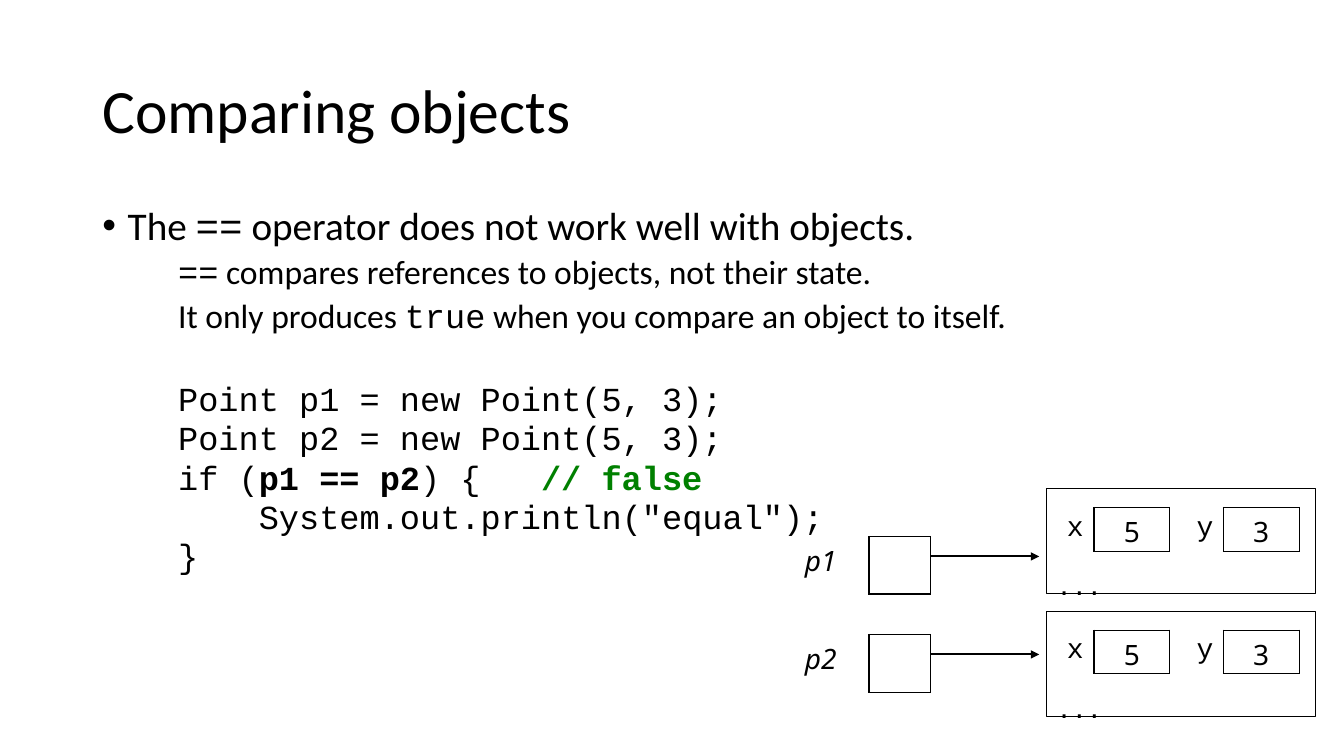
from lxml.etree import SubElement
from pptx import Presentation
from pptx.dml.color import RGBColor
from pptx.enum.shapes import MSO_CONNECTOR as Connector, MSO_SHAPE as Shape
from pptx.enum.text import MSO_ANCHOR as Anchor, PP_ALIGN as Align
from pptx.oxml.ns import qn
from pptx.util import Cm, Pt

SANS, MONO, LABEL = "Calibri", "Courier New", "Noto Sans"
BLACK, GREEN = "000000", "008000"
SIDES = "LRTB"


def color(hex_string):
    return RGBColor.from_string(hex_string)


def add_span(para, text, font, size, shade=BLACK, bold=False, italic=False):
    span = para.add_run()
    span.text = text
    span.font.name, span.font.size = font, Pt(size)
    span.font.bold, span.font.italic = bold, italic
    span.font.color.rgb = color(shade)


def add_text_frame(page, left, top, width, height):
    box = page.shapes.add_textbox(Cm(left), Cm(top), Cm(width), Cm(height))
    box.text_frame.word_wrap = True
    return box.text_frame


def add_title(page, left, top, width, height):
    frame = add_text_frame(page, left, top, width, height)
    frame.vertical_anchor = Anchor.MIDDLE
    para = frame.paragraphs[0]
    para.line_spacing = 0.9
    add_span(para, "Comparing objects", SANS, 44)


def indent(para, margin, first_line=0):
    properties = para._p.get_or_add_pPr()
    properties.set("marL", str(Cm(margin)))
    properties.set("indent", str(Cm(first_line)))
    return properties


def add_body(page, left, top, width, height):
    """Place the bulleted claim, its two remarks and the code sample."""
    frame = add_text_frame(page, left, top, width, height)

    claim = frame.paragraphs[0]
    claim.line_spacing, claim.space_before = 0.9, Pt(10)
    properties = indent(claim, 0.64, -0.64)
    SubElement(properties, qn("a:buFont"), typeface="Arial")
    SubElement(properties, qn("a:buChar"), char="•")
    for text, font in [("The ", SANS), ("==", MONO),
                       (" operator does not work well with objects.", SANS)]:
        add_span(claim, text, font, 28)

    remarks = [
        [("==", MONO), (" compares references to objects, not their state.", SANS)],
        [("It only produces ", SANS), ("true", MONO),
         (" when you compare an object to itself.", SANS)],
    ]
    code = [
        [("Point p1 = new Point(5, 3);", MONO)],
        [("Point p2 = new Point(5, 3);", MONO)],
        [("if (", MONO), ("p1 == p2", MONO, BLACK, True), (") {   ", MONO),
         ("// false", MONO, GREEN, True)],
        [('    System.out.println("equal");', MONO)],
        [("}", MONO)],
    ]
    for lines, spacing, first_gap in [(remarks, 0.9, 5), (code, 0.8, 36)]:
        for number, spans in enumerate(lines):
            para = frame.add_paragraph()
            para.line_spacing = spacing
            para.space_before = Pt(5 if number else first_gap)
            indent(para, 1.91)
            for text, font, *style in spans:
                add_span(para, text, font, 24, *style)


def set_borders(cell, sides):
    """Draw the named sides (L, R, T, B) in black and hide the others."""
    properties = cell._tc.get_or_add_tcPr()
    for side in SIDES:
        line = SubElement(properties, qn(f"a:ln{side}"), w=str(Pt(1)))
        if side in sides:
            fill = SubElement(line, qn("a:solidFill"))
            SubElement(fill, qn("a:srgbClr"), val=BLACK)
        else:
            SubElement(line, qn("a:noFill"))


def add_cell_row(page, left, top, height, widths, cells):
    """Add a one-row table; each cell is (text, font, italic, border sides)."""
    table = page.shapes.add_table(1, len(cells), Cm(left), Cm(top),
                                  Cm(sum(widths)), Cm(height)).table
    table.first_row = table.horz_banding = False
    for column, width in zip(table.columns, widths):
        column.width = Cm(width)
    for cell, (text, font, italic, sides) in zip(table.rows[0].cells, cells):
        cell.margin_left = cell.margin_right = cell.margin_bottom = 0
        cell.margin_top = Cm(0.13)
        set_borders(cell, sides)
        cell.fill.background()
        para = cell.text_frame.paragraphs[0]
        para.alignment = Align.CENTER
        if text:
            add_span(para, text, font, 20, italic=italic)


def add_point_object(page, left, top, width, height):
    """Draw a Point object with its x and y fields."""
    frame_box = page.shapes.add_shape(Shape.RECTANGLE, Cm(left), Cm(top),
                                      Cm(width), Cm(height))
    frame_box.shadow.inherit = False
    frame_box.fill.background()
    frame_box.line.color.rgb = color(BLACK)
    frame_box.line.width = Pt(0.75)
    frame = frame_box.text_frame
    frame.vertical_anchor = Anchor.TOP
    frame.margin_top, frame.margin_bottom = Cm(2.07), 0
    para = frame.paragraphs[0]
    para.alignment = Align.LEFT
    add_span(para, "...", MONO, 18)

    add_cell_row(page, left + 0.25, top + 0.48, 1.1, [0.94, 1.91, 1.35, 1.91], [
        ("x", MONO, False, "R"), ("5", LABEL, False, SIDES),
        (" y", MONO, False, "LR"), ("3", LABEL, False, SIDES)])


def add_reference(page, name, left, top, arrow_end):
    """Draw a named variable and the arrow leaving its box."""
    widths = [2.43, 1.54]
    add_cell_row(page, left, top, 1.45, widths,
                 [(name, LABEL, True, "R"), ("", LABEL, False, SIDES)])
    start, level = Cm(left + sum(widths)), Cm(top + 0.5)
    arrow = page.shapes.add_connector(Connector.STRAIGHT, start, level,
                                      Cm(arrow_end), level)
    arrow.line.color.rgb = color(BLACK)
    arrow.line.width = Pt(1.5)
    properties = arrow.element.spPr
    SubElement(properties.find(qn("a:ln")), qn("a:tailEnd"), type="triangle")
    SubElement(properties, qn("a:effectLst"))


def main():
    deck = Presentation()
    deck.slide_width, deck.slide_height = Cm(33.87), Cm(19.05)
    page = deck.slides.add_slide(deck.slide_layouts[6])
    add_title(page, 2.33, 1.01, 29.21, 3.68)
    add_body(page, 2.33, 5.08, 29.21, 12.09)
    for name, object_top, reference_top in [("p1", 12.31, 13.52),
                                            ("p2", 15.4, 15.99)]:
        add_point_object(page, 26.38, object_top, 6.78, 2.65)
        add_reference(page, name, 19.47, reference_top, 26.19)
    deck.save("out.pptx")


if __name__ == "__main__":
    main()
